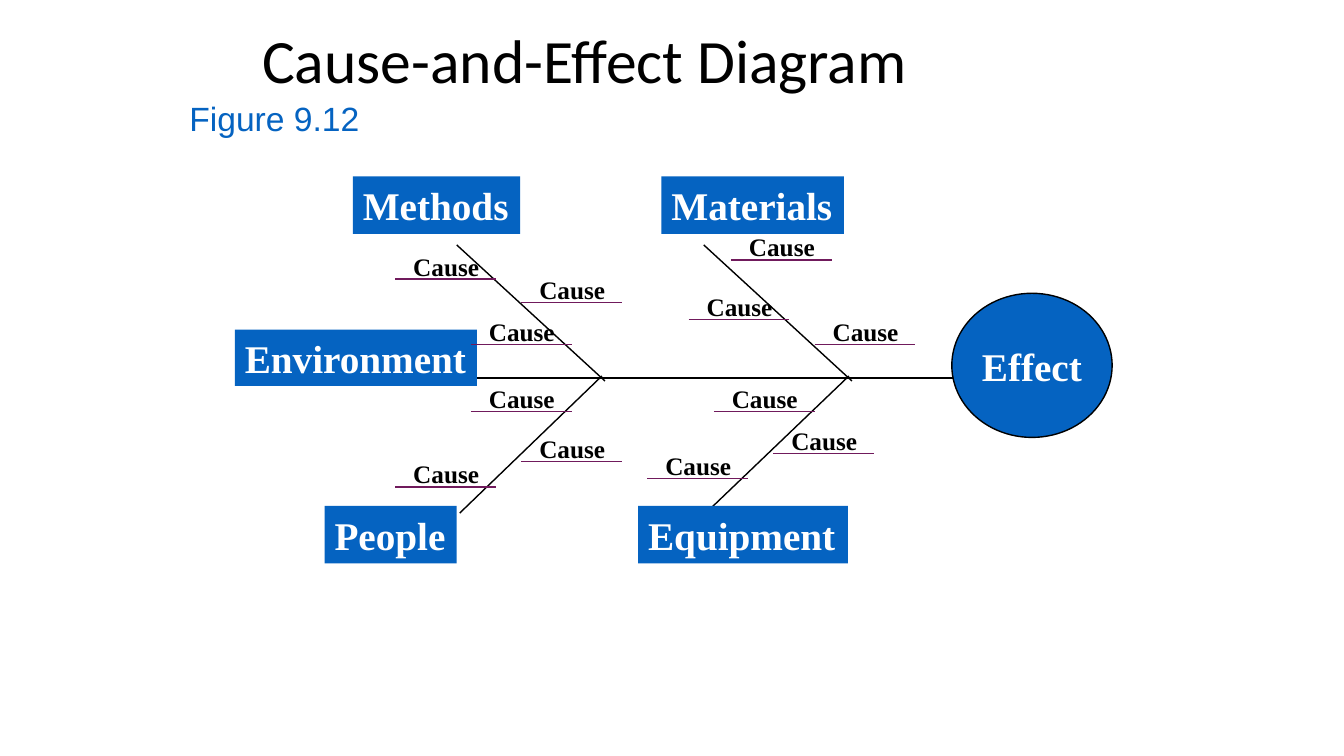
from dataclasses import dataclass

from lxml.etree import SubElement
from pptx import Presentation
from pptx.dml.color import RGBColor
from pptx.enum.shapes import MSO_CONNECTOR, MSO_SHAPE
from pptx.enum.text import MSO_ANCHOR, MSO_AUTO_SIZE, PP_ALIGN
from pptx.oxml.ns import qn
from pptx.util import Inches, Pt

COLORS = {"blue": "0563C1", "plum": "701A5C", "black": "000000", "white": "FFFFFF"}
SERIF = "Times New Roman"


@dataclass
class Box:
    text: str
    left: float
    top: float
    width: float
    height: float = 0.57


@dataclass
class Line:
    x1: float
    y1: float
    x2: float
    y2: float
    color: str = "black"


EFFECT = Box("Effect", 9.44, 2.91, 1.59, 1.43)
GROUPS = [
    Box("Materials", 6.56, 1.75, 1.81),
    Box("Methods", 3.5, 1.75, 1.66),
    Box("Equipment", 6.33, 5.02, 2.08),
    Box("People", 3.22, 5.02, 1.31),
    Box("Environment", 2.33, 3.27, 2.4, 0.56),
]
BONES = [
    Line(9.45, 3.75, 3.09, 3.75),
    Line(8.45, 3.78, 6.98, 2.43),
    Line(6, 3.78, 4.53, 2.43),
    Line(7, 5.09, 8.42, 3.73),
    Line(4.56, 5.09, 5.97, 3.73),
]
# Left end and height of the rule under each cause
CAUSES = [
    (6.42, 4.75), (5.17, 3), (7.67, 4.5), (7.08, 4.08), (5.17, 4.58), (6.83, 3.17),
    (4.67, 3.42), (4.67, 4.08), (7.25, 2.58), (3.92, 2.77), (3.92, 4.83), (8.08, 3.42),
]


def rgb(name: str) -> RGBColor:
    return RGBColor.from_string(COLORS[name])


def write(shape, text: str, *, size: float, font: str = SERIF, color: str = "black",
          bold: bool = False, align=PP_ALIGN.LEFT, anchor=MSO_ANCHOR.TOP,
          wrap: bool = False, fit=MSO_AUTO_SIZE.SHAPE_TO_FIT_TEXT, spacing: float = 1.0) -> None:
    frame = shape.text_frame
    frame.word_wrap = wrap
    frame.auto_size = fit
    frame.vertical_anchor = anchor
    para = frame.paragraphs[0]
    para.alignment = align
    para.line_spacing = spacing
    run = para.add_run()
    run.text = text
    run.font.size = Pt(size)
    run.font.name = font
    run.font.bold = bold
    run.font.color.rgb = rgb(color)


def place(box: Box) -> tuple:
    return tuple(Inches(n) for n in (box.left, box.top, box.width, box.height))


def draw_line(slide, line: Line) -> None:
    ends = [Inches(n) for n in (line.x1, line.y1, line.x2, line.y2)]
    link = slide.shapes.add_connector(MSO_CONNECTOR.STRAIGHT, *ends)
    link.line.color.rgb = rgb(line.color)
    link.line.width = Pt(1)
    SubElement(link._element.spPr, qn("a:effectLst"))


def draw_shape(slide, kind, box: Box, edge: bool = False, **style) -> None:
    shape = slide.shapes.add_shape(kind, *place(box))
    shape.shadow.inherit = False
    shape.fill.solid()
    shape.fill.fore_color.rgb = rgb("blue")
    if edge:
        shape.line.color.rgb = rgb("black")
        shape.line.width = Pt(1)
    else:
        shape.line.fill.background()
    write(shape, box.text, size=28, color="white", bold=True, **style)


def draw_text(slide, box: Box, **style) -> None:
    write(slide.shapes.add_textbox(*place(box)), box.text, **style)


def draw_cause(slide, left: float, base: float) -> None:
    draw_line(slide, Line(left, base, left + 1, base, "plum"))
    draw_text(slide, Box("Cause", left + 0.08, base - 0.33, 0.85, 0.4), size=18, bold=True)


def main() -> None:
    deck = Presentation()
    deck.slide_width, deck.slide_height = Inches(13.33), Inches(7.5)
    slide = deck.slides.add_slide(deck.slide_layouts[5])

    title = slide.shapes.title
    head = Box("Cause-and-Effect Diagram", 2.5, 0.1, 8.5, 0.91)
    title.left, title.top, title.width, title.height = place(head)
    write(title, head.text, size=44, font="Calibri", anchor=MSO_ANCHOR.BOTTOM,
          wrap=True, fit=MSO_AUTO_SIZE.NONE, spacing=0.9)
    draw_text(slide, Box("Figure 9.12", 1.78, 0.92, 1.89, 0.5),
              size=24, font="Arial", color="blue")

    draw_shape(slide, MSO_SHAPE.OVAL, EFFECT, edge=True, align=PP_ALIGN.CENTER,
               anchor=MSO_ANCHOR.MIDDLE, fit=MSO_AUTO_SIZE.NONE)
    for bone in BONES:
        draw_line(slide, bone)
    for group in GROUPS:
        draw_shape(slide, MSO_SHAPE.RECTANGLE, group)
    for left, base in CAUSES:
        draw_cause(slide, left, base)

    deck.save("out.pptx")


if __name__ == "__main__":
    main()
